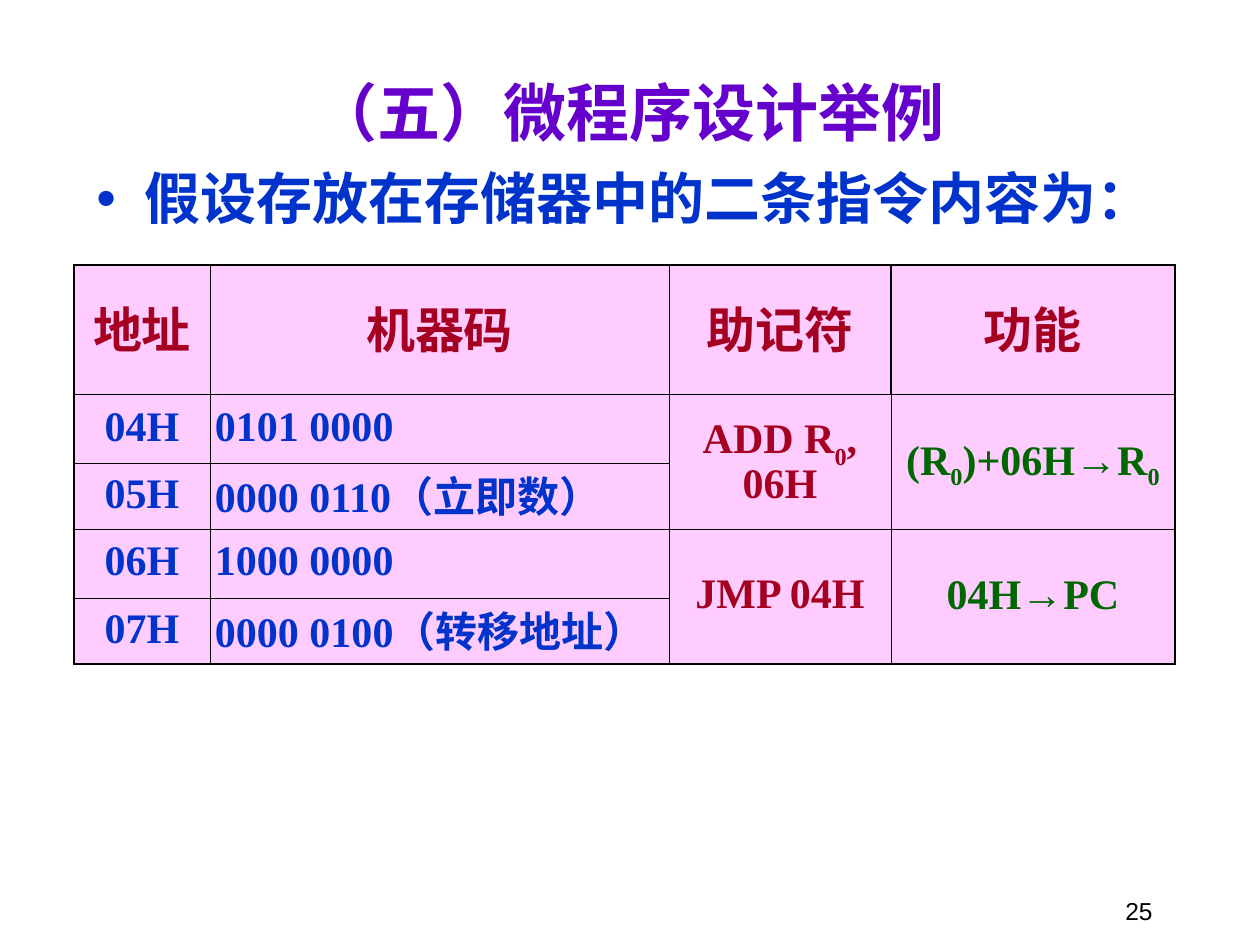
from dataclasses import dataclass

from lxml.etree import SubElement
from pptx import Presentation
from pptx.dml.color import RGBColor
from pptx.enum.text import MSO_ANCHOR as Anchor, MSO_AUTO_SIZE as AutoSize, PP_ALIGN as Align
from pptx.oxml.ns import qn
from pptx.util import Pt

EMU_PER_PX = 914400 / 126

BLACK = RGBColor(0x00, 0x00, 0x00)
PURPLE = RGBColor(0x66, 0x00, 0xCC)
BLUE = RGBColor(0x00, 0x33, 0xCC)
RED = RGBColor(0xA5, 0x00, 0x21)
GREEN = RGBColor(0x00, 0x66, 0x00)
PINK = RGBColor(0xFF, 0xCC, 0xFF)

SANS = "Arial"
SERIF = "Times New Roman"
THIN, THICK = 0.45, 1.08

COLUMN_WIDTHS = (136, 459, 222, 284)
ROW_HEIGHTS = (129, 69, 66, 69, 66)


@dataclass(frozen=True)
class Span:
    text: str
    baseline: int = 0
    font: str | None = None


@dataclass(frozen=True)
class Entry:
    row: int
    column: int
    spans: tuple[Span, ...]
    color: RGBColor
    size: int = 24
    space_after: int = 6
    align: Align = Align.CENTER
    rows: int = 1


ARROW = Span("→", font=SANS)
HEADINGS = ("地址", "机器码", "助记符", "功能")
CODES = (
    ("04H", "0101 0000"),
    ("05H", "0000 0110（立即数）"),
    ("06H", "1000 0000"),
    ("07H", "0000 0100（转移地址）"),
)
INSTRUCTIONS = (
    (
        (Span("ADD R"), Span("0", -30), Span(", 06H")),
        (Span("(R"), Span("0", -25), Span(")+06H"), ARROW, Span("R"), Span("0", -25)),
    ),
    (
        (Span("JMP 04H"),),
        (Span("04H"), ARROW, Span("PC")),
    ),
)


def px(value: int) -> int:
    return round(value * EMU_PER_PX)


def place(box, left: int, top: int, width: int, height: int) -> None:
    box.left, box.top, box.width, box.height = map(px, (left, top, width, height))


def style(para, size: int, color: RGBColor, font: str, bold: bool = True) -> None:
    para.font.size = Pt(size)
    para.font.bold = bold
    para.font.name = font
    para.font.color.rgb = color


def add_bullet(para, color: RGBColor) -> None:
    properties = para._p.get_or_add_pPr()
    properties.set("marL", str(px(48)))
    properties.set("indent", str(-px(48)))
    bullet_color = SubElement(properties, qn("a:buClr"))
    SubElement(bullet_color, qn("a:srgbClr"), val=str(color))
    SubElement(properties, qn("a:buFont"), typeface=SANS)
    SubElement(properties, qn("a:buChar"), char="•")


def add_text(page, area: tuple[int, int, int, int], text: str):
    box = page.shapes.add_textbox(*map(px, area))
    box.text_frame.word_wrap = True
    para = box.text_frame.paragraphs[0]
    para.text = text
    return para


def add_border(cell, side: str, width: float) -> None:
    line = SubElement(cell._tc.get_or_add_tcPr(), qn(f"a:ln{side}"), w=str(Pt(width)))
    fill = SubElement(line, qn("a:solidFill"))
    SubElement(fill, qn("a:srgbClr"), val=str(BLACK))


def format_cell(cell, row: int, column: int) -> None:
    last_row = row + cell.span_height == len(ROW_HEIGHTS)
    thick = {
        "L": column == 0 or (row, column) == (0, 3),
        "R": column == 3 or (row, column) == (0, 2),
        "T": row == 0,
        "B": last_row,
    }
    for side, heavy in thick.items():
        add_border(cell, side, THICK if heavy else THIN)
    cell.fill.solid()
    cell.fill.fore_color.rgb = PINK
    cell.vertical_anchor = Anchor.MIDDLE
    cell.margin_left = cell.margin_right = px(5)
    cell.margin_top = cell.margin_bottom = px(6)


def write_entry(table, entry: Entry) -> None:
    cell = table.cell(entry.row, entry.column)
    if entry.rows > 1:
        cell.merge(table.cell(entry.row + entry.rows - 1, entry.column))
    para = cell.text_frame.paragraphs[0]
    para.alignment = entry.align
    para.line_spacing = 0.9
    para.space_after = Pt(entry.space_after)
    style(para, entry.size, entry.color, SERIF)
    for span in entry.spans:
        run = para.add_run()
        run.text = span.text
        if span.font:
            run.font.name = span.font
        if span.baseline:
            run._r.get_or_add_rPr().set("baseline", str(span.baseline * 1000))


def table_entries() -> list[Entry]:
    entries = [
        Entry(0, column, (Span(text),), RED, size=28, space_after=7)
        for column, text in enumerate(HEADINGS)
    ]
    for row, (address, code) in enumerate(CODES, start=1):
        entries.append(Entry(row, 0, (Span(address),), BLUE))
        entries.append(Entry(row, 1, (Span(code),), BLUE, align=Align.LEFT))
    for index, (mnemonic, function) in enumerate(INSTRUCTIONS):
        row = 1 + 2 * index
        entries.append(Entry(row, 2, mnemonic, RED, rows=2))
        entries.append(Entry(row, 3, function, GREEN, rows=2))
    return entries


def add_instruction_table(page, left: int, top: int) -> None:
    frame = page.shapes.add_table(
        len(ROW_HEIGHTS), len(COLUMN_WIDTHS),
        px(left), px(top), px(sum(COLUMN_WIDTHS)), px(sum(ROW_HEIGHTS)),
    )
    table = frame.table
    table.first_row = table.horz_banding = False
    for column, width in zip(table.columns, COLUMN_WIDTHS):
        column.width = px(width)
    for row, height in zip(table.rows, ROW_HEIGHTS):
        row.height = px(height)
    for entry in table_entries():
        write_entry(table, entry)
    for row in range(len(ROW_HEIGHTS)):
        for column in range(len(COLUMN_WIDTHS)):
            format_cell(table.cell(row, column), row, column)


def main() -> None:
    deck = Presentation()
    deck.slide_width, deck.slide_height = px(1260), px(945)
    page = deck.slides.add_slide(deck.slide_layouts[5])

    title = page.shapes.title
    place(title, 94, 66, 1071, 91)
    title.text_frame.auto_size = AutoSize.NONE
    title.text_frame.vertical_anchor = Anchor.MIDDLE
    heading = title.text_frame.paragraphs[0]
    heading.text = "（五）微程序设计举例"
    heading.alignment = Align.CENTER
    style(heading, 36, PURPLE, SANS)

    premise = add_text(page, (84, 165, 1091, 100), "假设存放在存储器中的二条指令内容为：")
    add_bullet(premise, BLUE)
    premise.line_spacing = 0.9
    premise.space_after = Pt(8)
    style(premise, 32, BLUE, SANS)

    add_instruction_table(page, 74, 265)

    number = add_text(page, (903, 890, 262, 35), "25")
    number.alignment = Align.RIGHT
    style(number, 14, BLACK, SANS, bold=False)

    deck.save("out.pptx")


if __name__ == "__main__":
    main()
